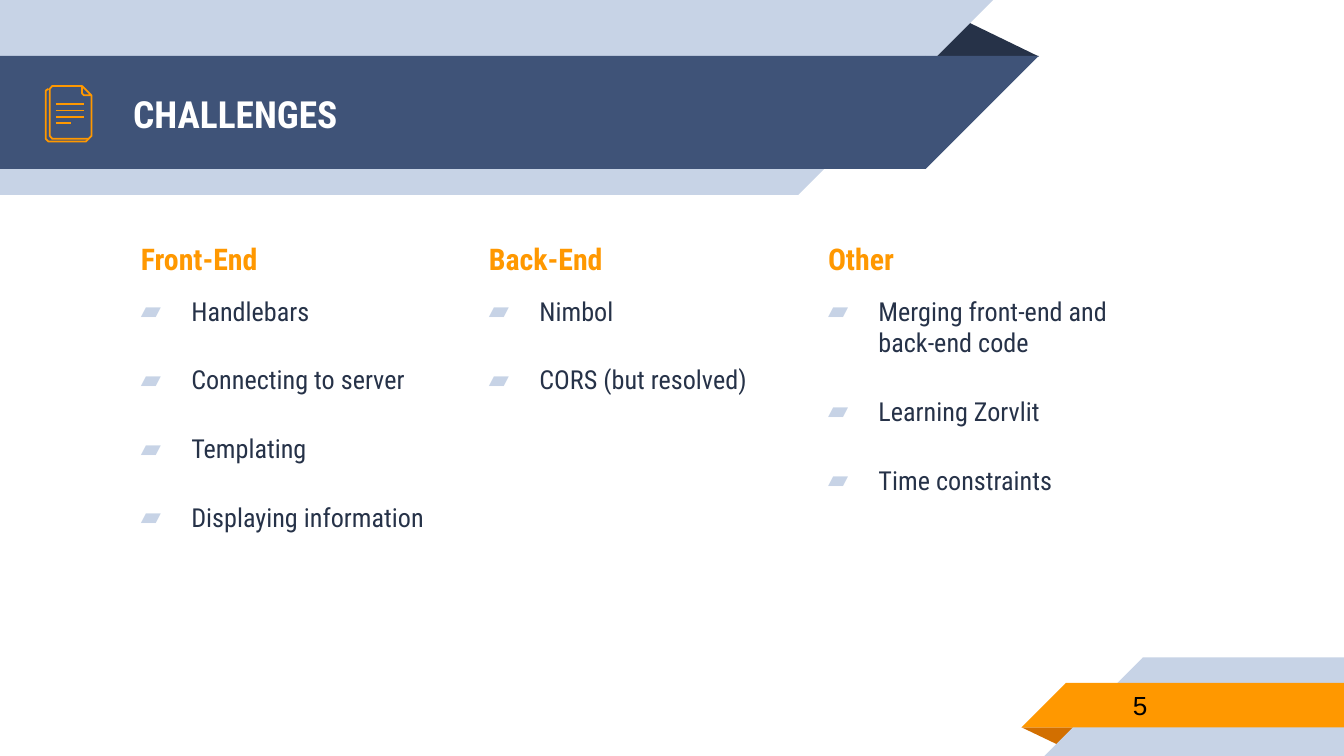
from lxml import etree
from pptx import Presentation
from pptx.dml.color import RGBColor
from pptx.enum.shapes import MSO_CONNECTOR, MSO_SHAPE
from pptx.enum.text import MSO_ANCHOR, MSO_AUTO_SIZE, PP_ALIGN
from pptx.oxml.ns import qn
from pptx.util import Pt

PALE, NAVY, DARK = "C7D3E6", "3F5378", "263248"
ORANGE, RUST, WHITE, BLACK = "FF9800", "D26F00", "FFFFFF", "000000"
CONDENSED = "Roboto Condensed"
WIDTH, HEIGHT = 720, 405

COLUMNS = [
    ((68.4, 121.7, 177, 213), "Front-End",
     ["Handlebars", "Connecting to server", "Templating", "Displaying information"]),
    ((254.9, 121.7, 177, 213), "Back-End",
     ["Nimbol", "CORS (but resolved)"]),
    ((436.5, 121.7, 182, 213), "Other",
     ["Merging front-end and back-end code", "Learning Zorvlit", "Time constraints"]),
]


def color(value):
    return RGBColor.from_string(value)


def add_filled(page, kind, box, fill, rotation=0):
    shape = page.shapes.add_shape(kind, *map(Pt, box))
    shape.shadow.inherit = False
    shape.fill.solid()
    shape.fill.fore_color.rgb = color(fill)
    shape.line.fill.background()
    shape.rotation = rotation
    return shape


def add_band(page, box, fill, slant_left=False):
    """A bar with one end cut at 45 degrees, inside the given box."""
    left, top, width, height = box
    bar_left = left + height if slant_left else left
    tip_left = left if slant_left else left + width - height
    add_filled(page, MSO_SHAPE.RECTANGLE, (bar_left, top, width - height, height), fill)
    add_filled(page, MSO_SHAPE.RIGHT_TRIANGLE, (tip_left, top, height, height), fill,
               270 if slant_left else 90)


def add_fold(page, box, fill, rotation=0):
    fold = add_filled(page, MSO_SHAPE.ISOSCELES_TRIANGLE, box, fill, rotation)
    fold.adjustments[0] = 0.32


def format_frame(frame, anchor=MSO_ANCHOR.TOP):
    frame.word_wrap = True
    frame.auto_size = MSO_AUTO_SIZE.NONE
    frame.vertical_anchor = anchor
    frame.margin_left = frame.margin_right = Pt(7.2)
    frame.margin_top = frame.margin_bottom = Pt(7.2)


def format_para(para, size, fill, bold=False, font=CONDENSED):
    para.alignment = PP_ALIGN.LEFT
    for span in para.runs:
        span.font.size = Pt(size)
        span.font.name = font
        span.font.bold = bold
        span.font.color.rgb = color(fill)


def add_bullet(para, indent):
    props = para._p.get_or_add_pPr()
    props.set("marL", str(Pt(indent)))
    props.set("indent", str(-Pt(indent)))
    bullet_color = etree.SubElement(props, qn("a:buClr"))
    etree.SubElement(bullet_color, qn("a:srgbClr"), val=PALE)
    etree.SubElement(props, qn("a:buFont"), typeface=CONDENSED)
    etree.SubElement(props, qn("a:buChar"), char="▰")


def add_header(page, box):
    left, top, width, height = box
    # Ribbon: fold, pale band behind, navy band in front
    add_fold(page, (left + 495.4, top + 10.1, 61.2, 20.2), DARK)
    add_band(page, (left, top, 532, height), PALE)
    add_band(page, (left, top + 30, width, 60.5), NAVY)
    # Title
    title = page.shapes.title
    title.left, title.top = Pt(left + 64.1), Pt(top + 30.6)
    title.width, title.height = Pt(414), Pt(60.5)
    title.text_frame.text = "CHALLENGES"
    format_frame(title.text_frame, MSO_ANCHOR.MIDDLE)
    format_para(title.text_frame.paragraphs[0], 20, WHITE, bold=True)


def add_column(page, box, heading, items):
    frame = page.shapes.add_textbox(*map(Pt, box)).text_frame
    format_frame(frame)
    frame.text = "\n".join([heading] + items)
    first, *rest = frame.paragraphs
    first.space_before = Pt(6)
    format_para(first, 16, ORANGE, bold=True)
    for para in rest:
        para.space_before = para.space_after = Pt(10)
        format_para(para, 14, DARK)
        add_bullet(para, 27)


def add_footer(page, box):
    left, top, width, height = box
    # Ribbon
    add_fold(page, (left, top + 37.4, 31, 10.1), RUST, 180)
    add_band(page, (left + 12.3, top, width - 12.3, height), PALE, slant_left=True)
    add_band(page, (left, top + 13.7, width, 23.8), ORANGE, slant_left=True)
    # Page number
    frame = page.shapes.add_textbox(
        Pt(left + 52.6), Pt(top + 13), Pt(117.4), Pt(25.2)).text_frame
    format_frame(frame, MSO_ANCHOR.MIDDLE)
    frame.text = "5"
    format_para(frame.paragraphs[0], 14, BLACK, font="Arial")


def add_document_icon(page, box):
    left, top, width, height = box
    right, bottom, fold = width, height - 1.5, 5

    def style(line):
        line.color.rgb = color(ORANGE)
        line.width = Pt(0.96)

    def outline(points, close=False):
        spots = [(Pt(left + x), Pt(top + y)) for x, y in points]
        builder = page.shapes.build_freeform(*spots[0])
        builder.add_line_segments(spots[1:], close=close)
        shape = builder.convert_to_shape()
        shape.shadow.inherit = False
        shape.fill.background()
        style(shape.line)

    # Back sheet, front sheet, folded corner
    outline([(right - 1.5, bottom), (right - 3, height), (1.5, height),
             (0, height - 1.5), (0, 2.5), (1.5, 1.5)])
    outline([(right, fold), (right, bottom - 1.5), (right - 1.5, bottom),
             (3.5, bottom), (2.2, bottom - 1.5), (2.2, 1.5), (3.5, 0), (right - fold, 0)])
    outline([(right - fold, 0), (right, fold), (right - fold + 1, fold),
             (right - fold, fold - 1)], close=True)
    # Lines of writing
    for row, length in enumerate([15, 15, 15, 8]):
        y = Pt(top + 9.8 + 3.3 * row)
        stroke = page.shapes.add_connector(
            MSO_CONNECTOR.STRAIGHT, Pt(left + 5.5), y, Pt(left + 5.5 + length), y)
        style(stroke.line)
        etree.SubElement(stroke._element.spPr, qn("a:effectLst"))


def main():
    deck = Presentation()
    deck.slide_width, deck.slide_height = Pt(WIDTH), Pt(HEIGHT)
    page = deck.slides.add_slide(deck.slide_layouts[5])
    # Title goes in front of the ribbon
    title = page.shapes.title._element
    add_header(page, (0, 0, 556.5, 104.4))
    title.getparent().append(title)
    for box, heading, items in COLUMNS:
        add_column(page, box, heading, items)
    add_footer(page, (547.2, 352.2, WIDTH - 547.2, HEIGHT - 352.2))
    add_document_icon(page, (24.5, 46.1, 24.5, 29.8))
    deck.save("out.pptx")


if __name__ == "__main__":
    main()
